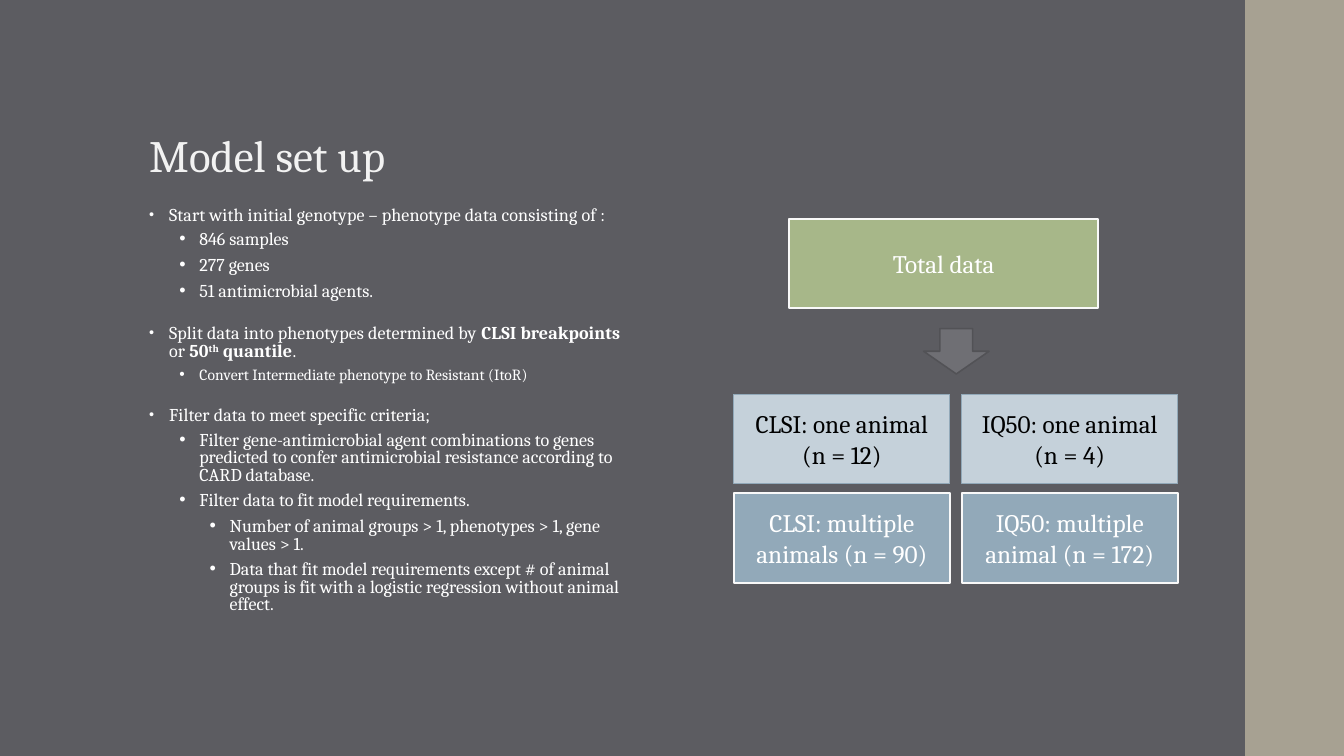
"""Build the "Model set up" slide: a bulleted outline beside a data-splitting diagram."""
from lxml import etree
from pptx import Presentation
from pptx.dml.color import RGBColor
from pptx.enum.shapes import MSO_SHAPE
from pptx.enum.text import MSO_ANCHOR, MSO_AUTO_SIZE, PP_ALIGN
from pptx.oxml.ns import qn
from pptx.util import Inches, Pt

RECTANGLE, DOWN_ARROW = MSO_SHAPE.RECTANGLE, MSO_SHAPE.DOWN_ARROW
MIDDLE, BOTTOM = MSO_ANCHOR.MIDDLE, MSO_ANCHOR.BOTTOM
LEFT, CENTER = PP_ALIGN.LEFT, PP_ALIGN.CENTER
NO_AUTOFIT = MSO_AUTO_SIZE.NONE

BACKGROUND = RGBColor(0x5C, 0x5C, 0x61)
SAND = RGBColor(0xA7, 0xA1, 0x92)
TITLE_GRAY = RGBColor(0xF2, 0xF2, 0xF2)
WHITE = RGBColor(0xFF, 0xFF, 0xFF)
BLACK = RGBColor(0x00, 0x00, 0x00)
GREEN = RGBColor(0xA7, 0xB7, 0x89)
BLUE = RGBColor(0x92, 0xA9, 0xB9)
PALE_BLUE = RGBColor(0xC5, 0xD1, 0xDA)
OUTLINE = RGBColor(0xF9, 0xF9, 0xF9)
ARROW_FILL = RGBColor(0x6F, 0x6F, 0x74)
ARROW_LINE = RGBColor(0x52, 0x52, 0x56)
FONT = "Cambria"


def add_run(paragraph, text, size, color, bold=False):
    run = paragraph.add_run()
    run.text = text
    run.font.name = FONT
    run.font.size = Pt(size)
    run.font.color.rgb = color
    run.font.bold = bold
    return run


def add_box(kind, left, top, width, height, fill, line=None, line_width=0, text="", color=WHITE):
    shape = slide.shapes.add_shape(kind, Inches(left), Inches(top), Inches(width), Inches(height))
    shape.shadow.inherit = False
    shape.fill.solid()
    shape.fill.fore_color.rgb = fill
    if line is None:
        shape.line.fill.background()
    else:
        shape.line.color.rgb = line
        shape.line.width = Pt(line_width)
    if text:
        shape.text_frame.word_wrap = True
        shape.text_frame.vertical_anchor = MIDDLE
        paragraph = shape.text_frame.paragraphs[0]
        paragraph.alignment = CENTER
        add_run(paragraph, text, 18, color)


presentation = Presentation()
presentation.slide_width = Inches(13.33)
presentation.slide_height = Inches(7.5)
slide = presentation.slides.add_slide(presentation.slide_layouts[5])
slide.background.fill.solid()
slide.background.fill.fore_color.rgb = BACKGROUND

add_box(RECTANGLE, 12.35, 0, 0.98, 7.5, SAND)

title = slide.shapes.title
title.left, title.top = Inches(1.38), Inches(0.4)
title.width, title.height = Inches(10.6), Inches(1.45)
title.text_frame.auto_size = NO_AUTOFIT
title.text_frame.vertical_anchor = BOTTOM
title_paragraph = title.text_frame.paragraphs[0]
title_paragraph.alignment = LEFT
add_run(title_paragraph, "Model set up", 32, TITLE_GRAY)

outline = [
    (0, 12.9, ["Start with initial genotype – phenotype data consisting of :"]),
    (1, 12.9, ["846 samples"]),
    (1, 12.9, ["277 genes"]),
    (1, 12.9, ["51 antimicrobial agents."]),
    (0, 12.9, ["Split data into phenotypes determined by ", "CLSI breakpoints", " or ",
               "50", "th", " quantile", "."]),
    (1, 11.1, ["Convert Intermediate phenotype to Resistant (ItoR)"]),
    (0, 12.9, ["Filter data to meet specific criteria;"]),
    (1, 11.1 + 1.8, ["Filter gene-antimicrobial agent combinations to genes predicted to confer "
                     "antimicrobial resistance according to CARD database."]),
    (1, 12.9, ["Filter data to fit model requirements."]),
    (2, 12.9, ["Number of animal groups > 1, phenotypes > 1, gene values > 1."]),
    (2, 12.9, ["Data that fit model requirements except # of animal groups is fit with a "
               "logistic regression without animal effect."]),
]
bold_texts = {"CLSI breakpoints", "50", "th", " quantile"}

body = slide.shapes.add_textbox(Inches(1.38), Inches(2), Inches(4.9), Inches(4.76))
frame = body.text_frame
frame.word_wrap = True
for index, (level, size, texts) in enumerate(outline):
    paragraph = frame.add_paragraph() if index else frame.paragraphs[0]
    paragraph.level = level
    paragraph.line_spacing = 0.8 if level else 0.85
    paragraph.space_before = Pt(3 if level else 14)
    paragraph.space_after = Pt(3 if level else 2)
    properties = paragraph._p.get_or_add_pPr()
    properties.set("marL", str(Inches(0.2 + 0.3 * level)))
    properties.set("indent", str(Inches(-0.2)))
    bullet_color = etree.SubElement(properties, qn("a:buClr"))
    etree.SubElement(bullet_color, qn("a:srgbClr")).set("val", str(WHITE))
    if level == 0:
        etree.SubElement(properties, qn("a:buSzPct")).set("val", "80000")
    etree.SubElement(properties, qn("a:buFont")).set("typeface", "Arial")
    etree.SubElement(properties, qn("a:buChar")).set("char", "•")
    for text in texts:
        run = add_run(paragraph, text, size, WHITE, text in bold_texts)
        run_properties = run._r.get_or_add_rPr()
        if level == 0:
            run_properties.set("spc", "10")
        if text == "th":
            run_properties.set("baseline", "30000")

add_box(RECTANGLE, 7.83, 2.17, 3.06, 0.89, GREEN, OUTLINE, 1.35, "Total data")
add_box(DOWN_ARROW, 9.16, 3.26, 0.65, 0.45, ARROW_FILL, ARROW_LINE, 1.1)

group_rows = [
    (PALE_BLUE, BLUE, 0.75, BLACK, ["CLSI: one animal (n = 12)", "IQ50: one animal (n = 4)"]),
    (BLUE, OUTLINE, 1.35, WHITE,
     ["CLSI: multiple animals (n = 90)", "IQ50: multiple animal (n = 172)"]),
]
for row, (fill, line, line_width, color, labels) in enumerate(group_rows):
    for column, label in enumerate(labels):
        add_box(RECTANGLE, 7.28 + 2.26 * column, 3.91 + 0.98 * row, 2.14, 0.89,
                fill, line, line_width, label, color)

presentation.save("out.pptx")
